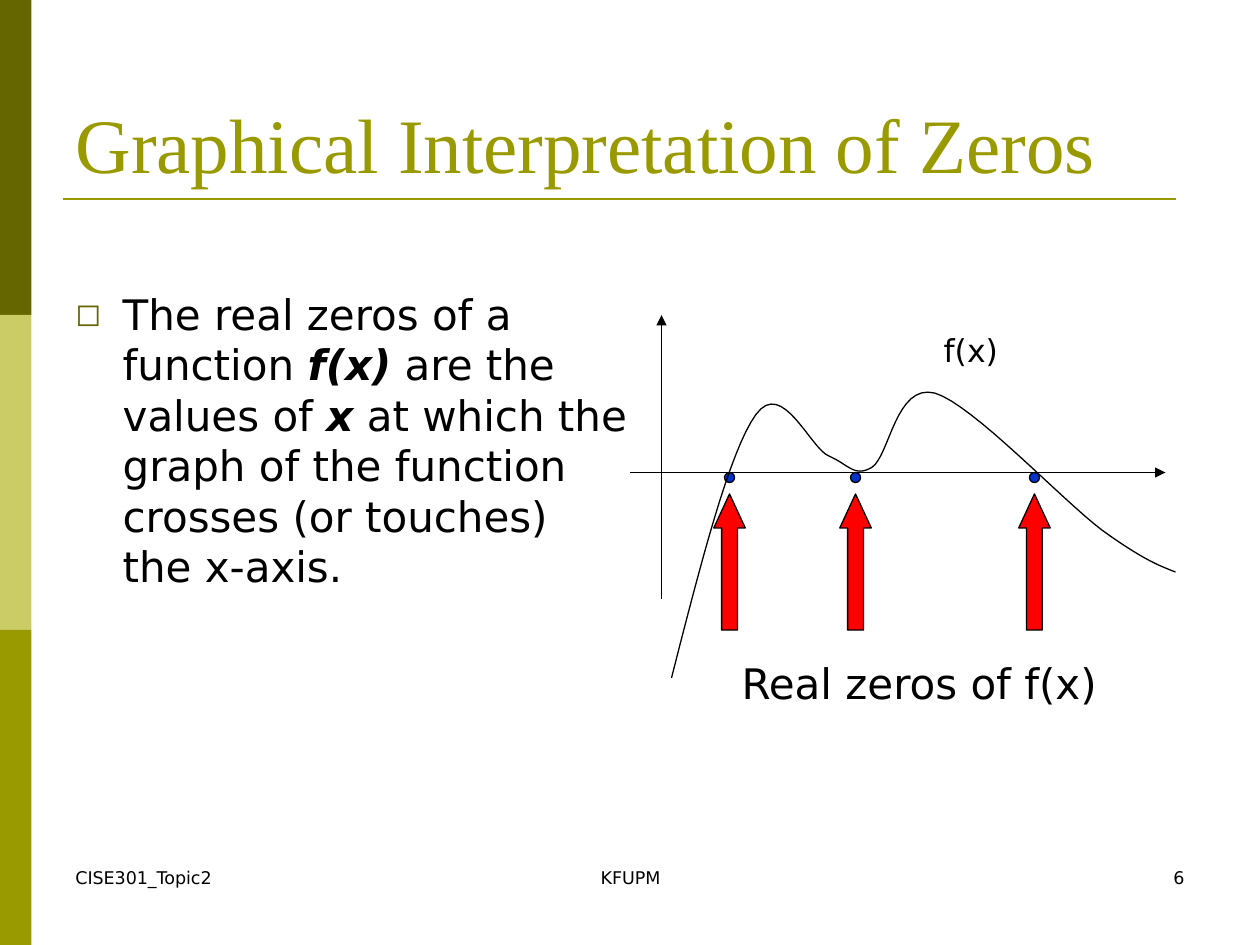
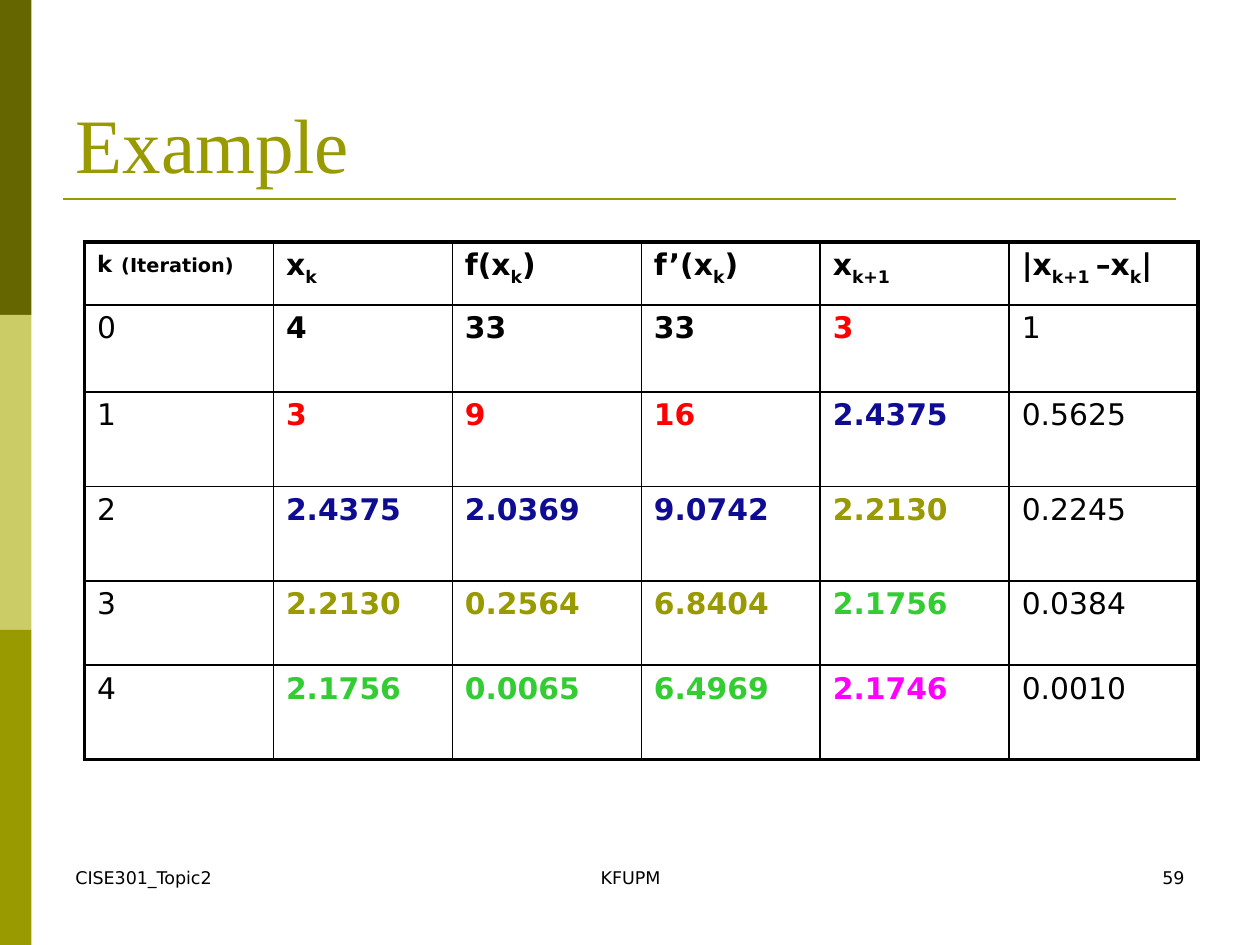
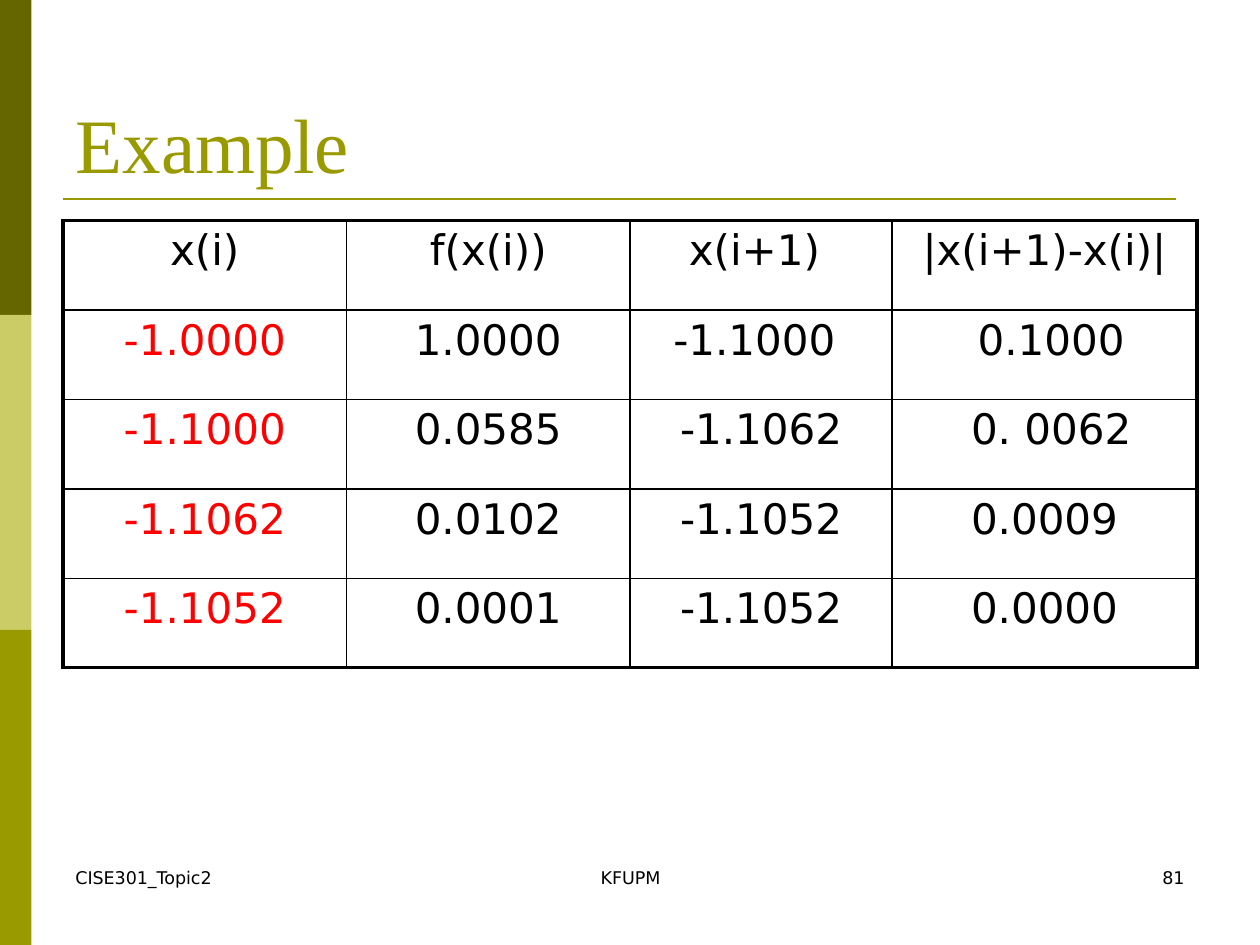
from pptx import Presentation
from pptx.dml.color import RGBColor
from pptx.enum.shapes import MSO_CONNECTOR, MSO_SHAPE
from pptx.enum.text import MSO_ANCHOR, PP_ALIGN
from pptx.oxml.ns import qn
from pptx.util import Inches, Pt
from lxml.etree import SubElement

COLORS = {
    "black": "000000",
    "dark_olive": "666600",
    "pale_olive": "CCCC66",
    "olive": "999900",
    "blue": "0033CC",
    "navy": "0E0C93",
    "red": "FF0000",
    "green": "33CC33",
    "magenta": "FF00FF",
}
BODY_FONT = "DejaVu Sans"
TITLE_FONT = "Times New Roman"
THIN, THICK = 1, 2.25
CURVE_STEPS = 16


def rgb(color):
    return RGBColor.from_string(COLORS[color])


def style_font(font, size, color="black", name=BODY_FONT, bold=None):
    font.size = Pt(size)
    font.name = name
    font.bold = bold
    font.color.rgb = rgb(color)


def cubic(start, first, second, end, step):
    t = step / CURVE_STEPS
    weights = ((1 - t) ** 3, 3 * t * (1 - t) ** 2, 3 * t * t * (1 - t), t ** 3)
    return tuple(
        Inches(sum(weight * value for weight, value in zip(weights, axis)))
        for axis in zip(start, first, second, end)
    )


class SlideBuilder:
    def __init__(self):
        self.deck = Presentation()
        self.deck.slide_width = Inches(10)
        self.deck.slide_height = Inches(7.5)
        self.page = None

    def new_page(self, title, number):
        self.page = self.deck.slides.add_slide(self.deck.slide_layouts[5])
        for row, color in enumerate(("dark_olive", "pale_olive", "olive")):
            self.shape(MSO_SHAPE.RECTANGLE, 0, 2.5 * row, 0.25, 2.5, color)
        self.line((0.5, 1.58), (9.33, 1.58), "olive", 1.5)
        self.text("CISE301_Topic2", 0.5, 6.83, 2.33, 0.5, 10)
        self.text("KFUPM", 3.42, 6.83, 3.17, 0.5, 10, PP_ALIGN.CENTER)
        self.text(str(number), 7.17, 6.83, 2.33, 0.5, 10, PP_ALIGN.RIGHT)
        box = self.page.shapes.title
        box.left, box.top = Inches(0.5), Inches(0.3)
        box.width, box.height = Inches(9), Inches(1.25)
        box.text_frame.text = title
        box.text_frame.vertical_anchor = MSO_ANCHOR.BOTTOM
        para = box.text_frame.paragraphs[0]
        para.alignment = PP_ALIGN.LEFT
        style_font(para.font, 44, "olive", TITLE_FONT)

    def shape(self, kind, left, top, width, height, fill, outlined=False):
        shape = self.page.shapes.add_shape(
            kind, Inches(left), Inches(top), Inches(width), Inches(height))
        shape.shadow.inherit = False
        shape.fill.solid()
        shape.fill.fore_color.rgb = rgb(fill)
        if outlined:
            shape.line.color.rgb = rgb("black")
            shape.line.width = Pt(0.75)
        else:
            shape.line.fill.background()
        return shape

    def line(self, start, end, color="black", width=0.75, arrow=False):
        line = self.page.shapes.add_connector(
            MSO_CONNECTOR.STRAIGHT, *map(Inches, start + end))
        line.line.color.rgb = rgb(color)
        line.line.width = Pt(width)
        if arrow:
            SubElement(line.line._get_or_add_ln(), qn("a:tailEnd"), type="triangle")
        SubElement(line._element.spPr, qn("a:effectLst"))

    def curve(self, start, segments):
        builder = self.page.shapes.build_freeform(*map(Inches, start))
        points = []
        for first, second, end in segments:
            points += [cubic(start, first, second, end, step)
                       for step in range(1, CURVE_STEPS + 1)]
            start = end
        builder.add_line_segments(points, close=False)
        curve = builder.convert_to_shape()
        curve.shadow.inherit = False
        curve.fill.background()
        curve.line.color.rgb = rgb("black")
        curve.line.width = Pt(0.75)

    def text(self, text, left, top, width, height, size, align=PP_ALIGN.LEFT):
        box = self.page.shapes.add_textbox(
            Inches(left), Inches(top), Inches(width), Inches(height))
        box.text_frame.word_wrap = True
        para = box.text_frame.paragraphs[0]
        para.alignment = align
        para.text = text
        style_font(para.font, size)
        return para

    def bullet(self, spans, left, top, width, height, size):
        para = self.text("", left, top, width, height, size)
        properties = para._p.get_or_add_pPr()
        properties.set("marL", str(Inches(0.375)))
        properties.set("indent", str(-Inches(0.375)))
        color = SubElement(properties, qn("a:buClr"))
        SubElement(color, qn("a:srgbClr"), val=COLORS["dark_olive"])
        SubElement(properties, qn("a:buSzPct"), val="75000")
        SubElement(properties, qn("a:buFont"), typeface=BODY_FONT)
        SubElement(properties, qn("a:buChar"), char="◻")
        properties.append(properties.find(qn("a:defRPr")))
        for text, emphasized in spans:
            span = para.add_run()
            span.text = text
            span.font.bold = span.font.italic = emphasized

    def table(self, left, top, widths, heights):
        table = self.page.shapes.add_table(
            len(heights), len(widths), Inches(left), Inches(top),
            Inches(sum(widths)), Inches(sum(heights))).table
        table.first_row = table.horz_banding = False
        for column, width in zip(table.columns, widths):
            column.width = Inches(width)
        for row, height in zip(table.rows, heights):
            row.height = Inches(height)
        last_row, last_column = len(heights) - 1, len(widths) - 1
        for row in range(len(heights)):
            for column in range(len(widths)):
                edges = {"a:lnL": column == 0, "a:lnR": column == last_column,
                         "a:lnT": row == 0, "a:lnB": row == last_row}
                self.borders(table.cell(row, column), edges)
        return table

    def borders(self, cell, edges):
        properties = cell._tc.get_or_add_tcPr()
        for edge, outer in edges.items():
            border = SubElement(properties, qn(edge), w=str(Pt(THICK if outer else THIN)))
            fill = SubElement(border, qn("a:solidFill"))
            SubElement(fill, qn("a:srgbClr"), val=COLORS["black"])
        cell.fill.background()

    def cell(self, cell, text, size, color="black", bold=False, align=PP_ALIGN.LEFT):
        para = cell.text_frame.paragraphs[0]
        para.alignment = align
        style_font(para.font, size, color, bold=bold)
        for index, part in enumerate(text.split("~")):
            if part:
                span = para.add_run()
                span.text = part
                if index % 2:
                    span._r.get_or_add_rPr().set("baseline", "-25000")
        return para


def build_zeros(builder):
    builder.new_page("Graphical Interpretation of Zeros", 6)
    builder.bullet([
        ("The real zeros of a function ", False),
        ("f(x)", True),
        (" are the values of ", False),
        ("x", True),
        (" at which the graph of the function crosses (or touches) the x-axis.", False),
    ], 0.5, 2.24, 4.58, 4.46, 24)
    builder.line((5.25, 4.75), (5.25, 2.5), arrow=True)
    builder.line((5, 3.75), (9.25, 3.75), arrow=True)
    for zero in (5.79, 6.79, 8.21):
        builder.shape(MSO_SHAPE.OVAL, zero - 0.04, 3.75, 0.08, 0.08, "blue", True)
        arrow = builder.shape(MSO_SHAPE.UP_ARROW, zero - 0.125, 3.92, 0.25, 1.08, "red", True)
        arrow.adjustments[1] = 1.08
    builder.text("Real zeros of f(x)", 5.42, 5.17, 3.75, 0.5, 24, PP_ALIGN.CENTER)
    builder.text("f(x)", 7.33, 2.58, 0.75, 0.4, 18, PP_ALIGN.CENTER)
    builder.curve((5.33, 5.38), [
        ((5.56, 4.48), (5.79, 3.58), (6, 3.29)),
        ((6.21, 3), (6.43, 3.56), (6.58, 3.62)),
        ((6.74, 3.69), (6.78, 3.79), (6.92, 3.71)),
        ((7.06, 3.62), (7.11, 3.04), (7.42, 3.12)),
        ((7.72, 3.21), (8.43, 3.97), (8.75, 4.21)),
        ((9.07, 4.44), (9.2, 4.49), (9.33, 4.54)),
    ])


def build_iterations(builder):
    builder.new_page("Example", 59)
    headings = ["k (Iteration)", "x~k~", "f(x~k~)", "f’(x~k~)", "x~k+1~", "|x~k+1 ~–x~k~|"]
    rows = [
        ["0", "4", "33", "33", "3", "1"],
        ["1", "3", "9", "16", "2.4375", "0.5625"],
        ["2", "2.4375", "2.0369", "9.0742", "2.2130", "0.2245"],
        ["3", "2.2130", "0.2564", "6.8404", "2.1756", "0.0384"],
        ["4", "2.1756", "0.0065", "6.4969", "2.1746", "0.0010"],
    ]
    step_colors = ["black", "red", "navy", "olive", "green", "magenta"]
    table = builder.table(0.67, 1.92, [1.5, 1.42, 1.5, 1.42, 1.5, 1.5],
                          [0.5, 0.69, 0.75, 0.75, 0.67, 0.75])
    iteration = builder.cell(table.cell(0, 0), "k~~ ~~(Iteration)", 13, bold=True)
    for span, size in zip(iteration.runs, (13, 15, 11)):
        span.font.size = Pt(size)
    for column, heading in enumerate(headings[1:], 1):
        builder.cell(table.cell(0, column), heading, 17, bold=True)
    for step, values in enumerate(rows):
        current, following = step_colors[step:step + 2]
        colors = ["black", current, current, current, following, "black"]
        for column, (value, color) in enumerate(zip(values, colors)):
            builder.cell(table.cell(step + 1, column), value, 17, color, 0 < column < 5)


def build_secant(builder):
    builder.new_page("Example", 81)
    rows = [
        ["x(i)", "f(x(i))", "x(i+1) ", "|x(i+1)-x(i)|"],
        ["-1.0000", "1.0000", "-1.1000 ", " 0.1000"],
        ["-1.1000", "0.0585", "-1.1062", " 0. 0062"],
        ["-1.1062", "0.0102", "-1.1052", "0.0009"],
        ["-1.1052", "0.0001", "-1.1052", "0.0000"],
    ]
    table = builder.table(0.5, 1.75, [2.25, 2.25, 2.08, 2.42], [0.71] * len(rows))
    for row, values in enumerate(rows):
        for column, value in enumerate(values):
            color = "red" if row and column == 0 else "black"
            builder.cell(table.cell(row, column), value, 24, color, align=PP_ALIGN.CENTER)


def main():
    builder = SlideBuilder()
    build_zeros(builder)
    build_iterations(builder)
    build_secant(builder)
    builder.deck.save("out.pptx")


if __name__ == "__main__":
    main()
